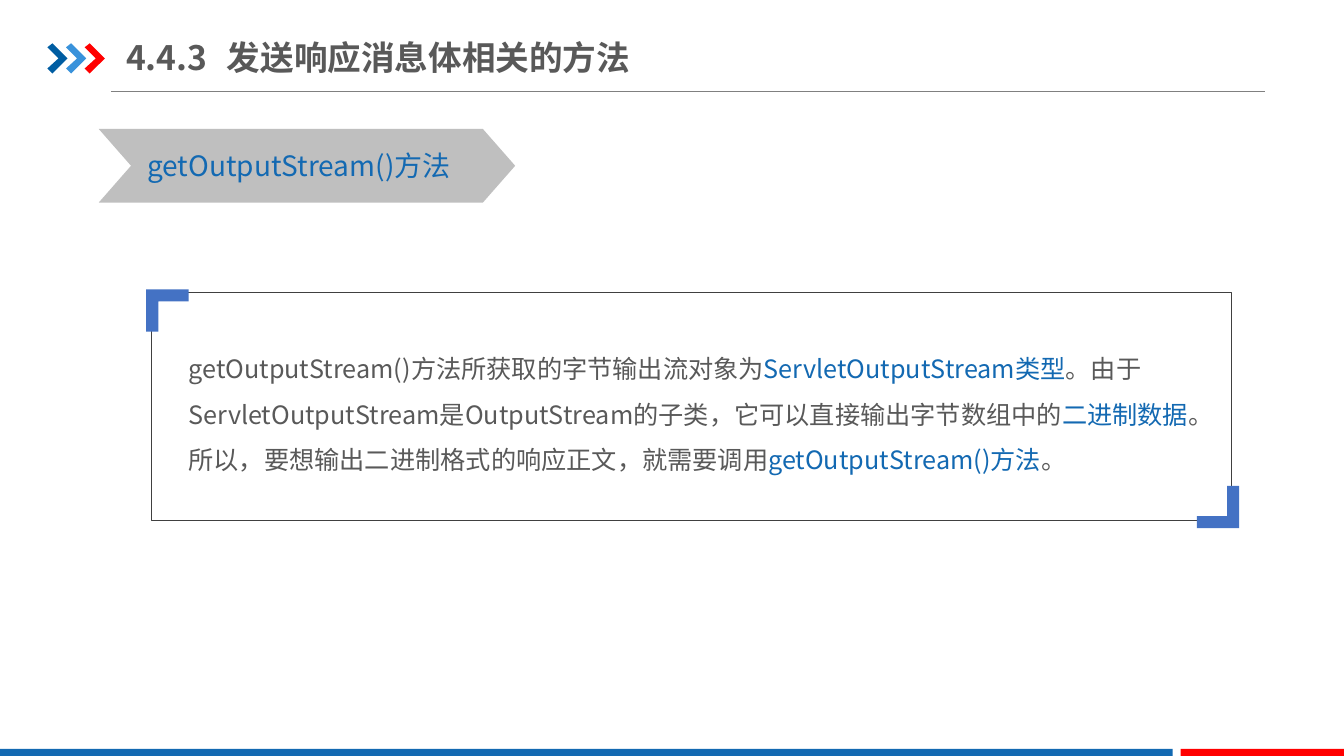
from dataclasses import dataclass

from lxml.etree import SubElement
from pptx import Presentation
from pptx.dml.color import RGBColor
from pptx.enum.shapes import MSO_CONNECTOR, MSO_SHAPE
from pptx.enum.text import MSO_ANCHOR, MSO_AUTO_SIZE, PP_ALIGN
from pptx.oxml.ns import qn
from pptx.util import Inches, Pt

FONT = "Noto Sans CJK SC"
COLORS = {
    "text": "595959", "blue": "1369B2", "red": "FF0000", "navy": "005DA2",
    "sky": "3992DB", "bracket": "4472C4", "banner": "BFBFBF",
    "frame": "404040", "rule": "808080",
}


@dataclass
class Box:
    x: float
    y: float
    w: float
    h: float


@dataclass
class Piece:
    text: str
    color: str = "text"


@dataclass
class Outline:
    points: list[tuple[float, float]]
    color: str


def rgb(name: str) -> RGBColor:
    return RGBColor.from_string(COLORS[name])


def place(sp, box: Box) -> None:
    for name, value in zip(("left", "top", "width", "height"), (box.x, box.y, box.w, box.h)):
        setattr(sp, name, Inches(value))


def paint(sp, color: str) -> None:
    sp.shadow.inherit = False
    sp.fill.solid()
    sp.fill.fore_color.rgb = rgb(color)
    sp.line.fill.background()


def add_block(s, kind, box: Box, color: str):
    sp = s.shapes.add_shape(kind, *map(Inches, (box.x, box.y, box.w, box.h)))
    paint(sp, color)
    return sp


def add_outline(s, outline: Outline) -> None:
    points = [(Inches(x), Inches(y)) for x, y in outline.points]
    fb = s.shapes.build_freeform(*points[0], scale=1.0)
    fb.add_line_segments(points[1:], close=True)
    paint(fb.convert_to_shape(), outline.color)


def write(sp, pieces: list[Piece], size: float, frame: dict, para: dict,
          bold: bool = False, tab: float = 0) -> None:
    tf = sp.text_frame
    for name, value in frame.items():
        setattr(tf, name, value)
    p = tf.paragraphs[0]
    pPr = p._p.get_or_add_pPr()
    pPr.set("marL", "0")
    pPr.set("indent", "0")
    SubElement(pPr, qn("a:buNone"))
    if tab:
        tabs = SubElement(pPr, qn("a:tabLst"))
        SubElement(tabs, qn("a:tab"), pos=str(Inches(tab)), algn="l")
    for name, value in para.items():
        setattr(p, name, value)
    for piece in pieces:
        r = p.add_run()
        r.text = piece.text
        for name, value in {"size": Pt(size), "bold": bold, "name": FONT}.items():
            setattr(r.font, name, value)
        r.font.color.rgb = rgb(piece.color)
        SubElement(r._r.get_or_add_rPr(), qn("a:ea"), typeface=FONT)


def arrow_points(x: float) -> list[tuple[float, float]]:
    return [(x, 0.47), (x + 0.05, 0.43), (x + 0.2, 0.58),
            (x + 0.05, 0.73), (x, 0.68), (x + 0.11, 0.58)]


def bracket_points(x: float, y: float, sign: int) -> list[tuple[float, float]]:
    corner = [(0, 0), (0.42, 0), (0.42, 0.12), (0.12, 0.12), (0.12, 0.42), (0, 0.42)]
    return [(x + sign * dx, y + sign * dy) for dx, dy in corner]


def add_rule(s) -> None:
    cx = s.shapes.add_connector(
        MSO_CONNECTOR.STRAIGHT, Inches(1.1), Inches(0.91), Inches(12.55), Inches(0.91))
    cx.line.color.rgb = rgb("rule")
    cx.line.width = Pt(0.5)
    SubElement(cx._element.spPr, qn("a:effectLst"))


def add_frame(s) -> None:
    sp = add_block(s, MSO_SHAPE.ROUNDED_RECTANGLE, Box(1.5, 2.9, 10.71, 2.26), "frame")
    sp.adjustments[0] = 0
    sp.fill.background()
    sp.line.color.rgb = rgb("frame")
    sp.line.width = Pt(0.25)


def main() -> None:
    prs = Presentation()
    prs.slide_width, prs.slide_height = Inches(13.33), Inches(7.5)
    s = prs.slides.add_slide(prs.slide_layouts[1])
    title, body = s.placeholders

    add_rule(s)
    outlines = [Outline(arrow_points(0.47 + 0.185 * i), color)
                for i, color in enumerate(("navy", "sky", "red"))]
    outlines += [Outline(bracket_points(1.45, 2.87, 1), "bracket"),
                 Outline(bracket_points(12.29, 5.24, -1), "bracket")]
    add_frame(s)
    for outline in outlines:
        add_outline(s, outline)
    add_block(s, MSO_SHAPE.RECTANGLE, Box(0, 7.43, 11.63, 0.07), "blue")
    add_block(s, MSO_SHAPE.RECTANGLE, Box(11.71, 7.43, 1.62, 0.07), "red")
    banner = add_block(s, MSO_SHAPE.CHEVRON, Box(0.98, 1.28, 4.13, 0.73), "banner")
    banner.adjustments[0] = 0.438

    left = {"alignment": PP_ALIGN.LEFT}
    fixed = {"word_wrap": True, "auto_size": MSO_AUTO_SIZE.NONE}
    place(title, Box(1.25, 0.29, 5.32, 0.55))
    write(title, [Piece("4.4.3\t发送响应消息体相关的方法")], 24,
          fixed | {"vertical_anchor": MSO_ANCHOR.MIDDLE, "margin_left": 0, "margin_right": 0},
          left, bold=True, tab=1.03)

    place(body, Box(1.77, 3.31, 10.3, 1.5))
    write(body, [
        Piece("getOutputStream()方法所获取的字节输出流对象为"),
        Piece("ServletOutputStream类型", "blue"),
        Piece("。由于ServletOutputStream是OutputStream的子类，它可以直接输出字节数组中的"),
        Piece("二进制数据", "blue"),
        Piece("。所以，要想输出二进制格式的响应正文，就需要调用"),
        Piece("getOutputStream()方法", "blue"),
        Piece("。"),
    ], 18, fixed | {"vertical_anchor": MSO_ANCHOR.TOP},
        left | {"line_spacing": 1.5, "space_before": Pt(0)})

    label = s.shapes.add_textbox(Inches(1.36), Inches(1.42), Inches(3.29), Inches(0.44))
    write(label, [Piece("getOutputStream()方法", "blue")], 20,
          {"word_wrap": False, "auto_size": MSO_AUTO_SIZE.SHAPE_TO_FIT_TEXT}, left)

    prs.save("out.pptx")


if __name__ == "__main__":
    main()
